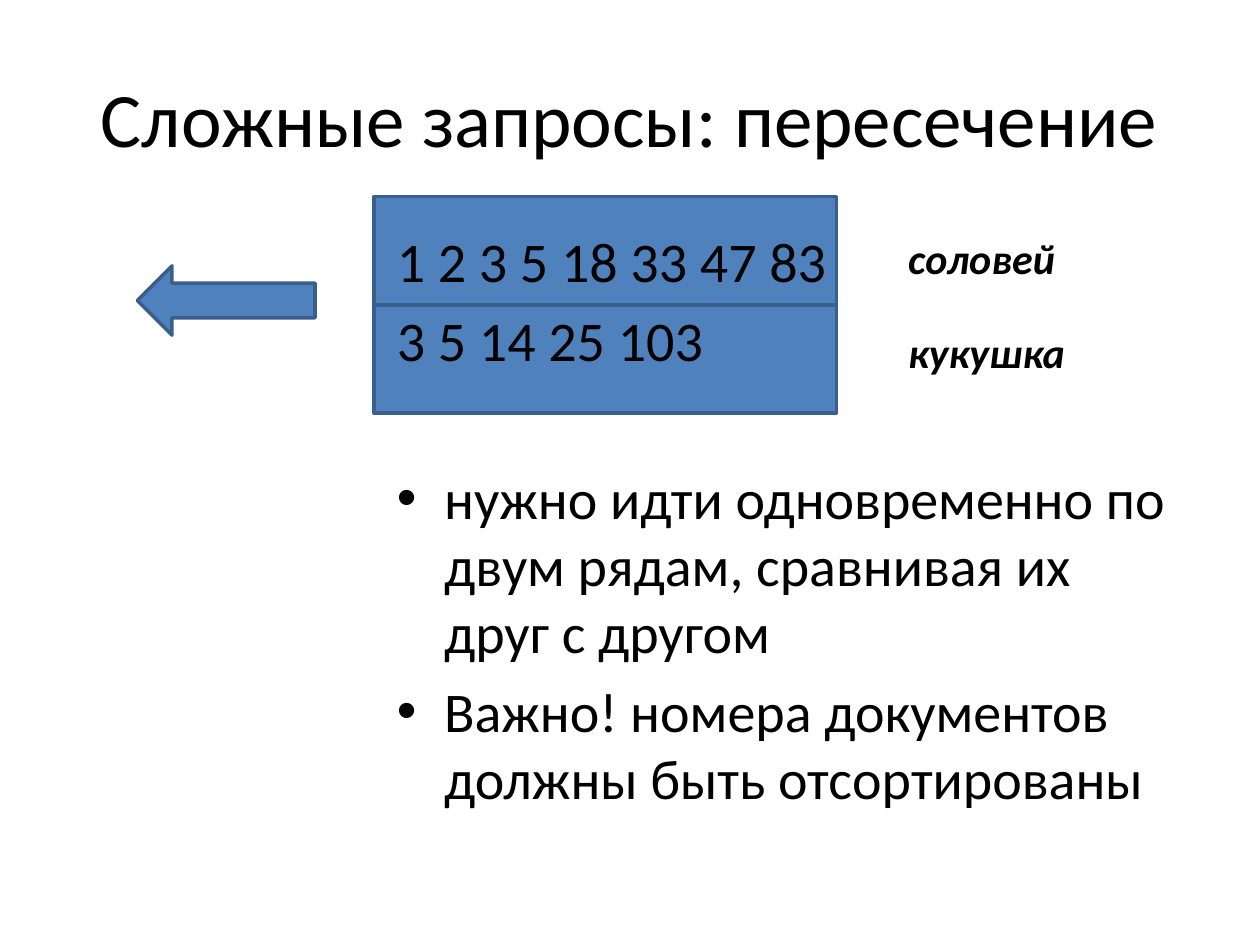
import pptx
import pptx.util
import pptx.dml.color
import pptx.enum.shapes
import pptx.enum.text
import lxml.etree
from dataclasses import dataclass
from pptx.oxml.ns import qn

KIND = pptx.enum.shapes.MSO_SHAPE
ALIGN = pptx.enum.text.PP_ALIGN
ANCHOR = pptx.enum.text.MSO_ANCHOR
FIT = pptx.enum.text.MSO_AUTO_SIZE


@dataclass
class Theme:
    font: str = "Calibri"
    ink: str = "000000"
    fill: str = "4F81BD"
    edge: str = "3A5F8C"
    line: float = 2
    head: int = 44
    body: int = 32
    label: int = 24
    gap: float = 6.4
    skip: float = 52


class Deck:
    cols = 100
    rows = 75

    def __init__(self, theme):
        self.theme = theme
        self.prs = pptx.Presentation()
        self.prs.slide_width = pptx.util.Inches(10)
        self.prs.slide_height = pptx.util.Inches(7.5)
        self.slide = self.prs.slides.add_slide(self.prs.slide_layouts[1])

    def area(self, x, y, w, h):
        col = self.prs.slide_width / self.cols
        row = self.prs.slide_height / self.rows
        return [round(v) for v in (x * col, y * row, w * col, h * row)]

    def place(self, shape, box):
        shape.left, shape.top, shape.width, shape.height = self.area(*box)

    def color(self, code):
        return pptx.dml.color.RGBColor.from_string(code)

    def style(self, para, size, strong=None):
        for run in para.runs:
            font = run.font
            font.name = self.theme.font
            font.size = pptx.util.Pt(size)
            font.color.rgb = self.color(self.theme.ink)
            font.bold = font.italic = strong

    def title(self, text, box):
        shape = self.slide.shapes.title
        self.place(shape, box)
        frame = shape.text_frame
        frame.text = text
        frame.vertical_anchor = ANCHOR.MIDDLE
        frame.paragraphs[0].alignment = ALIGN.CENTER
        self.style(frame.paragraphs[0], self.theme.head)

    def body(self, plain, points, box):
        shape = self.slide.placeholders[1]
        self.place(shape, box)
        frame = shape.text_frame
        frame.text = "\n".join(plain + points)
        frame.auto_size = FIT.NONE
        for i, para in enumerate(frame.paragraphs):
            self.style(para, self.theme.body)
            first = i == len(plain)
            para.space_before = pptx.util.Pt(self.theme.skip if first else self.theme.gap)
            if i < len(plain):
                props = para._p.get_or_add_pPr()
                lxml.etree.SubElement(props, qn("a:buNone"))

    def block(self, kind, box, back=False):
        shape = self.slide.shapes.add_shape(kind, *self.area(*box))
        shape.shadow.inherit = False
        shape.fill.solid()
        shape.fill.fore_color.rgb = self.color(self.theme.fill)
        shape.line.color.rgb = self.color(self.theme.edge)
        shape.line.width = pptx.util.Pt(self.theme.line)
        if back:
            shape.element.getparent().insert(2, shape.element)

    def label(self, text, box):
        frame = self.slide.shapes.add_textbox(*self.area(*box)).text_frame
        frame.word_wrap = True
        frame.auto_size = FIT.SHAPE_TO_FIT_TEXT
        frame.text = text
        self.style(frame.paragraphs[0], self.theme.label, True)


def main():
    deck = Deck(Theme())
    deck.title("Сложные запросы: пересечение", (5, 3, 90, 12.5))
    deck.body(
        ["1 2 3 5 18 33 47 83", "3 5 14 25 103"],
        ["нужно идти одновременно по двум рядам, сравнивая их друг с другом",
         "Важно! номера документов должны быть отсортированы"],
        (30.5, 17.5, 64.5, 49.5))
    top, high = 15.6, 8.6
    for i, word in enumerate(["соловей", "кукушка"]):
        deck.block(KIND.RECTANGLE, (29.7, top + i * high, 36.7, high), back=True)
        deck.label(word, (71.1, 18 + i * 7.4, 20.3, 5))
    deck.block(KIND.LEFT_ARROW, (10.9, 21.1, 14.1, 5.5))
    deck.prs.save("out.pptx")


if __name__ == "__main__":
    main()
